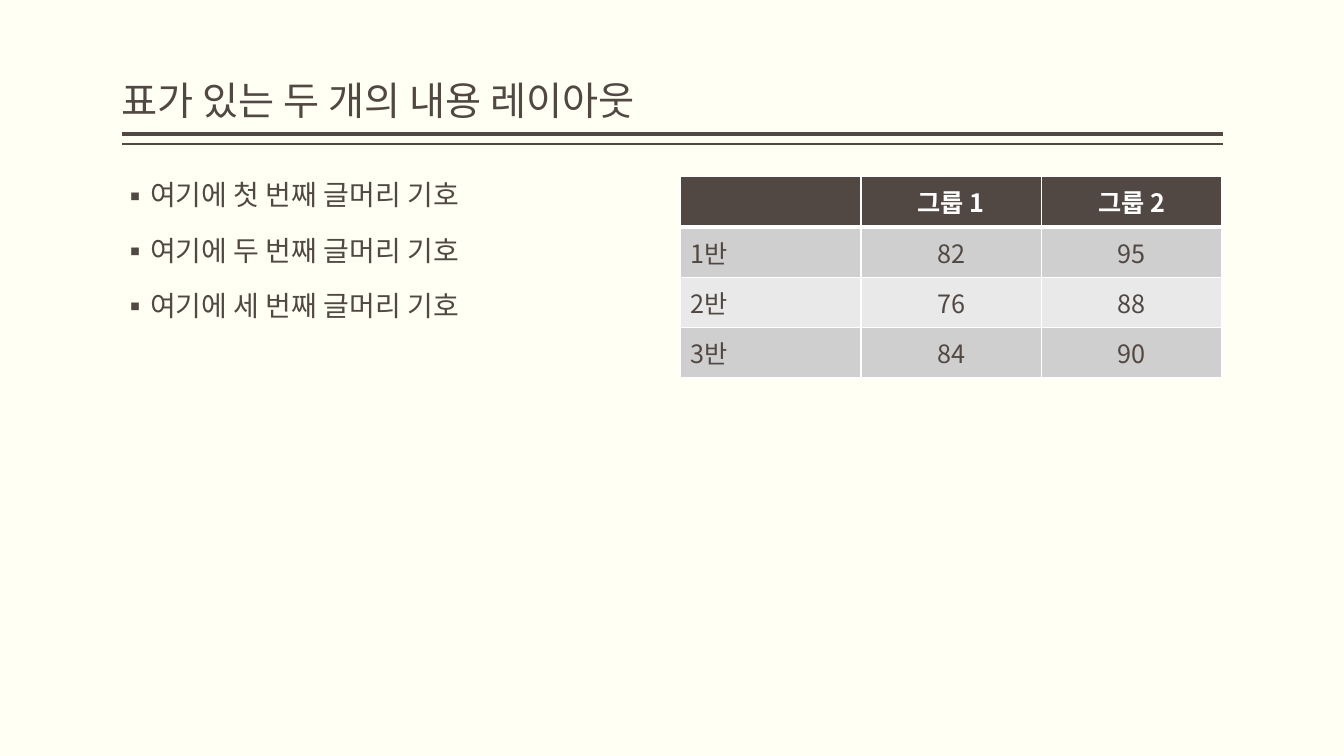
"""Builds a slide with a title, a bullet list and a small table of class scores."""
from typing import NamedTuple

from lxml import etree
from pptx import Presentation
from pptx import util as u
from pptx.dml.color import RGBColor
from pptx.enum import shapes, text
from pptx.oxml.ns import qn

PX = 9144
FONT = "Noto Sans CJK KR"
BROWN, WHITE, CREAM = "514843", "FFFFFF", "FFFFF3"
BANDS = ("D0CFCF", "E9E9E9")
LEFT, RIGHT = 121, 1213


class Box(NamedTuple):
    left: int
    top: int
    width: int
    height: int


class Rule(NamedTuple):
    top: int
    weight: int


TITLE = "표가 있는 두 개의 내용 레이아웃"
TITLE_BOX = Box(LEFT, 8, 1092, 120)
BULLETS = [f"여기에 {ordinal} 번째 글머리 기호" for ordinal in ("첫", "두", "세")]
BULLET_BOX = Box(LEFT, 175, 538, 500)
RULES = (Rule(133, 3), Rule(143, 1))
SCORES = (
    ("", "그룹 1", "그룹 2"),
    ("1반", "82", "95"),
    ("2반", "76", "88"),
    ("3반", "84", "90"),
)
TABLE_BOX = Box(675, 175, 537, 200)


def px(length: int) -> u.Emu:
    return u.Emu(length * PX)


def color(value: str) -> RGBColor:
    return RGBColor.from_string(value)


def write(paragraph, content: str, *, size: int, fill: str = BROWN, bold: bool = False,
          align=text.PP_ALIGN.LEFT, line_spacing: float = 1.0, before: int = 0) -> None:
    paragraph.alignment = align
    paragraph.line_spacing = line_spacing
    paragraph.space_before = u.Pt(before)
    run = paragraph.add_run()
    run.text = content
    run.font.size = u.Pt(size)
    run.font.bold = bold
    run.font.color.rgb = color(fill)
    run.font.name = FONT
    etree.SubElement(run._r.get_or_add_rPr(), qn("a:ea"), typeface=FONT)


def place(placeholder, box: Box, anchor) -> None:
    placeholder.left, placeholder.top, placeholder.width, placeholder.height = map(px, box)
    frame = placeholder.text_frame
    frame.word_wrap = True
    frame.auto_size = text.MSO_AUTO_SIZE.NONE
    frame.vertical_anchor = anchor
    frame.margin_left = frame.margin_right = 0
    frame.margin_top = frame.margin_bottom = px(5)


def add_rule(slide, rule: Rule) -> None:
    line = slide.shapes.add_connector(
        shapes.MSO_CONNECTOR.STRAIGHT, px(RIGHT), px(rule.top), px(LEFT), px(rule.top))
    line.line.color.rgb = color(BROWN)
    line.line.width = u.Pt(rule.weight)
    etree.SubElement(line._element.spPr, qn("a:effectLst"))


def add_bullets(placeholder) -> None:
    frame = placeholder.text_frame
    for index, content in enumerate(BULLETS):
        paragraph = frame.add_paragraph() if index else frame.paragraphs[0]
        properties = paragraph._p.get_or_add_pPr()
        properties.set("marL", str(px(25)))
        properties.set("indent", str(px(-25)))
        etree.SubElement(properties, qn("a:buFont"), typeface=FONT)
        etree.SubElement(properties, qn("a:buChar"), char="▪")
        write(paragraph, content, size=20, line_spacing=0.9, before=18 if index else 0)


def set_borders(cell, top: int, bottom: int) -> None:
    properties = cell._tc.get_or_add_tcPr()
    for index, (side, weight) in enumerate(
            (("lnL", 1), ("lnR", 1), ("lnT", top), ("lnB", bottom))):
        border = etree.Element(qn(f"a:{side}"), w=str(u.Pt(weight)))
        fill = etree.SubElement(border, qn("a:solidFill"))
        etree.SubElement(fill, qn("a:srgbClr"), val=WHITE)
        properties.insert(index, border)


def add_scores(slide) -> None:
    table = slide.shapes.add_table(len(SCORES), len(SCORES[0]), *map(px, TABLE_BOX)).table
    for row, values in enumerate(SCORES):
        header = row == 0
        for column, value in enumerate(values):
            cell = table.cell(row, column)
            cell.vertical_anchor = text.MSO_ANCHOR.MIDDLE
            cell.fill.solid()
            cell.fill.fore_color.rgb = color(BROWN if header else BANDS[(row - 1) % 2])
            set_borders(cell, top=3 if row == 1 else 1, bottom=3 if header else 1)
            if value:
                write(cell.text_frame.paragraphs[0], value, size=18, bold=header,
                      fill=WHITE if header else BROWN,
                      align=text.PP_ALIGN.CENTER if column else text.PP_ALIGN.LEFT)


def main() -> None:
    presentation = Presentation()
    presentation.slide_width, presentation.slide_height = px(1333), px(750)
    slide = presentation.slides.add_slide(presentation.slide_layouts[1])
    slide.background.fill.solid()
    slide.background.fill.fore_color.rgb = color(CREAM)
    for rule in RULES:
        add_rule(slide, rule)
    title, body = slide.placeholders
    place(title, TITLE_BOX, text.MSO_ANCHOR.BOTTOM)
    write(title.text_frame.paragraphs[0], TITLE, size=28, line_spacing=0.9)
    place(body, BULLET_BOX, text.MSO_ANCHOR.TOP)
    add_bullets(body)
    add_scores(slide)
    presentation.save("out.pptx")


if __name__ == "__main__":
    main()
